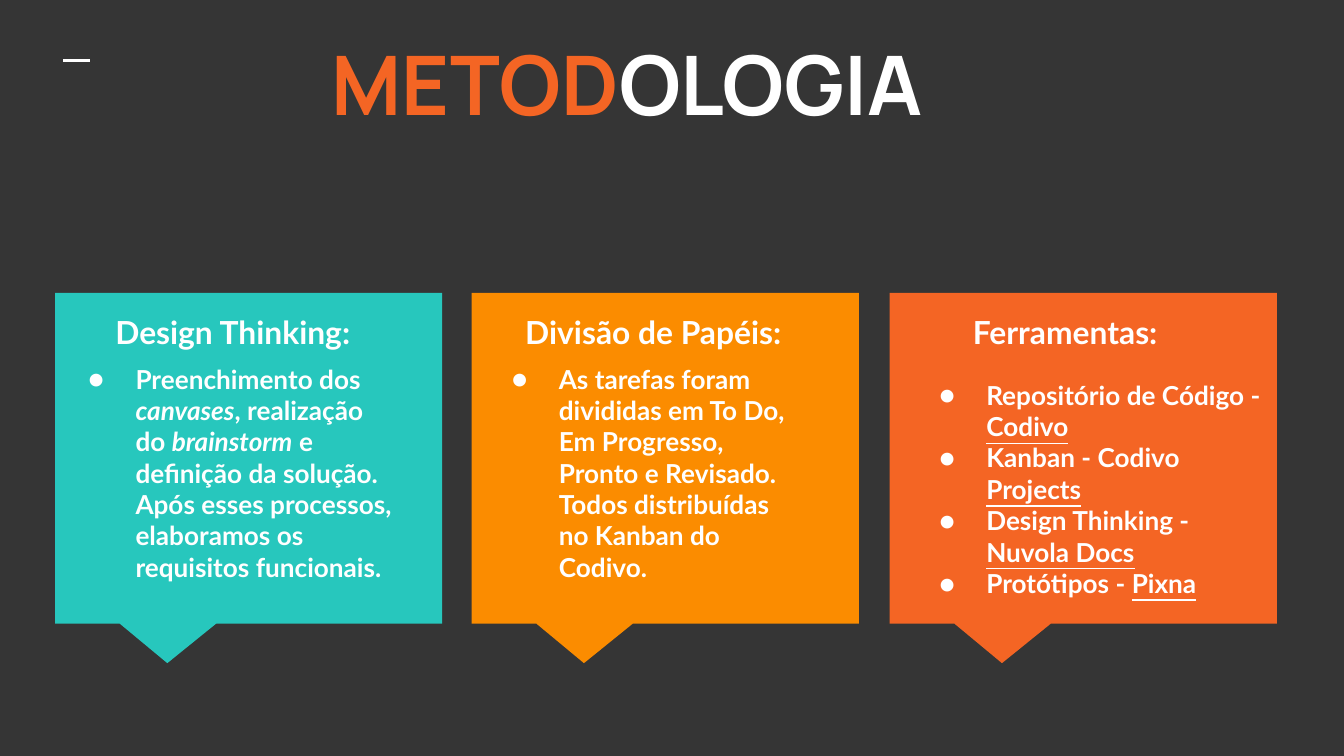
from lxml.etree import SubElement as Sub
from pptx import Presentation
from pptx.dml.color import RGBColor as RGB
from pptx.enum.shapes import MSO_CONNECTOR as Conn, MSO_SHAPE as Shape
from pptx.oxml.ns import qn
from pptx.util import Inches, Pt

HUE = {
    "back": "353535",
    "white": "FFFFFF",
    "teal": "27C7BD",
    "amber": "FB8C00",
    "coral": "F46524",
}


def add_box(x, y, w, h):
    frame = slide.shapes.add_textbox(Inches(x), Inches(y), Inches(w), Inches(h)).text_frame
    frame.word_wrap = True
    frame.margin_left = frame.margin_right = Inches(0.1)
    frame.margin_top = frame.margin_bottom = Inches(0.1)
    return frame


def add_run(para, text, size, face="Lato", hue="white", style=""):
    run = para.add_run()
    run.text = text
    font = run.font
    font.name, font.size, font.bold = face, Pt(size), True
    font.color.rgb = RGB.from_string(HUE[hue])
    if style == "i":
        font.italic = True
    if style == "u":
        font.underline = True


deck = Presentation()
deck.slide_width = Inches(10)
deck.slide_height = Inches(10) * 9 // 16
slide = deck.slides.add_slide(deck.slide_layouts[6])
fill = slide.background.fill
fill.solid()
fill.fore_color.rgb = RGB.from_string(HUE["back"])

dash = slide.shapes.add_connector(
    Conn.STRAIGHT, Inches(0.47), Inches(0.45), Inches(0.67), Inches(0.45))
dash.line.color.rgb = RGB.from_string(HUE["white"])
dash.line.width = Pt(1.5)
Sub(dash.element.spPr, qn("a:effectLst"))

title = add_box(2.37, 0.15, 9.62, 1.12).paragraphs[0]
add_run(title, "METOD", 44, "Manrope", "coral")
add_run(title, "OLOGIA", 44, "Manrope")

cards = [
    ("teal", 0.41, "Design Thinking:", (0.76, 2.23, 8.37, 0.49), (0.41, 2.6, 2.62, 1.85), [
        [("Preenchimento dos ", ""), ("canvases", "i"), (", realização do ", ""),
         ("brainstorm", "i"),
         (" e definição da solução. Após esses processos, "
          "elaboramos os requisitos funcionais.", "")],
    ]),
    ("amber", 3.51, "Divisão de Papéis:", (3.81, 2.23, 6, 0.49), (3.56, 2.6, 2.43, 1.85), [
        [("As tarefas foram divididas em To Do, Em Progresso, Pronto e Revisado. "
          "Todos distribuídas no Kanban do Codivo.", "")],
    ]),
    ("coral", 6.62, "Ferramentas:", (7.14, 2.23, 2.08, 0.49), (6.74, 2.72, 2.75, 1.85), [
        [("Repositório de Código - ", ""), ("Codivo", "u")],
        [("Kanban - Codivo ", ""), ("Projects", "u")],
        [("Design Thinking - ", ""), ("Nuvola Docs", "u")],
        [("Protótipos - ", ""), ("Pixna", "u")],
    ]),
]

for hue, left, *rest in cards:
    card = slide.shapes.add_shape(
        Shape.RECTANGULAR_CALLOUT, Inches(left), Inches(2.18), Inches(2.88), Inches(2.46))
    card.adjustments[0], card.adjustments[1] = -0.21, 0.62
    card.fill.solid()
    card.fill.fore_color.rgb = RGB.from_string(HUE[hue])
    card.line.fill.background()
    card.shadow.inherit = False

for hue, left, head, spot, area, items in cards:
    add_run(add_box(*spot).paragraphs[0], head, 17)

for hue, left, head, spot, area, items in cards:
    frame = add_box(*area)
    for row, item in enumerate(items):
        para = frame.add_paragraph() if row else frame.paragraphs[0]
        props = para._p.get_or_add_pPr()
        props.set("marL", str(Inches(0.5)))
        props.set("indent", str(Inches(-0.35)))
        tint = Sub(props, qn("a:buClr"))
        Sub(tint, qn("a:srgbClr"), val=HUE["white"])
        Sub(props, qn("a:buFont"), typeface="Lato")
        Sub(props, qn("a:buChar"), char="●")
        for text, style in item:
            add_run(para, text, 14, style=style)

deck.save("out.pptx")
